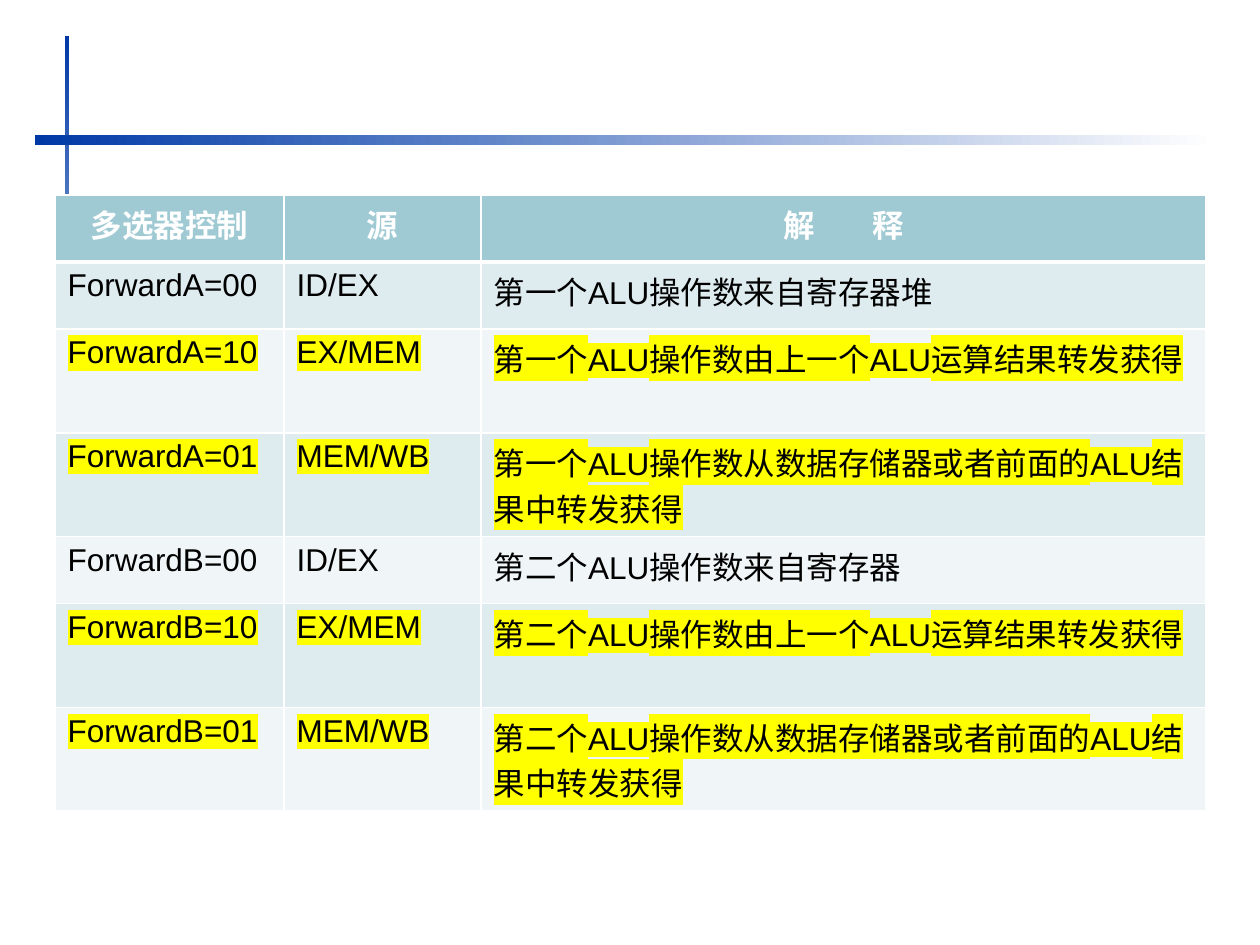
from dataclasses import dataclass

from lxml import etree
from pptx import Presentation
from pptx.dml.color import RGBColor
from pptx.enum.shapes import MSO_SHAPE
from pptx.enum.text import PP_ALIGN
from pptx.oxml.ns import qn
from pptx.util import Emu, Pt

RECTANGLE = MSO_SHAPE.RECTANGLE
CENTER = PP_ALIGN.CENTER
LEFT = PP_ALIGN.LEFT
PX = 914400 / 126


@dataclass(frozen=True)
class Theme:
    font: str = "Arial"
    size: int = 18
    blue: str = "0039A6"
    white: str = "FFFFFF"
    black: str = "000000"
    header: str = "9FCAD3"
    bands: tuple = ("F0F6F7", "DFECEF")
    highlight: str = "FFFF00"


theme = Theme()


def px(value):
    return Emu(round(value * PX))


def write(paragraph, text, color=theme.black, bold=False, highlight=None, spacing=None):
    run = paragraph.add_run()
    run.text = text
    run.font.size = Pt(theme.size)
    run.font.bold = bold
    run.font.color.rgb = RGBColor.from_string(color)
    if highlight:
        mark = etree.SubElement(run.font._element, qn("a:highlight"))
        etree.SubElement(mark, qn("a:srgbClr"), val=highlight)
    if spacing:
        run.font._element.set("spc", str(spacing))
    run.font.name = theme.font


presentation = Presentation()
presentation.slide_width = px(1260)
presentation.slide_height = px(945)
slide = presentation.slides.add_slide(presentation.slide_layouts[6])

for left, top, width, height, angle in [(65, 36, 4, 525, 270), (35, 135, 1180, 10, 0)]:
    bar = slide.shapes.add_shape(RECTANGLE, px(left), px(top), px(width), px(height))
    bar.shadow.inherit = False
    bar.line.fill.background()
    bar.fill.gradient()
    bar.fill.gradient_angle = angle
    for stop, color, position in zip(bar.fill.gradient_stops, (theme.blue, theme.white), (0, 1)):
        stop.color.rgb = RGBColor.from_string(color)
        stop.position = position

rows = [("多选器控制", "源", "解 释")]
for selector, ordinal, end in [("A", "一", "寄存器堆"), ("B", "二", "寄存器")]:
    operand = f"第{ordinal}个ALU操作数"
    rows += [
        (f"Forward{selector}=00", "ID/EX", f"{operand}来自{end}"),
        (f"Forward{selector}=10", "EX/MEM", f"{operand}由上一个ALU运算结果转发获得"),
        (f"Forward{selector}=01", "MEM/WB", f"{operand}从数据存储器或者前面的ALU结果中转发获得"),
    ]
column_widths = [229, 197, 725]
row_heights = [67] + [67, 67, 88] * 2

table = slide.shapes.add_table(
    len(rows), len(column_widths), px(55), px(195), px(sum(column_widths)), px(sum(row_heights))
).table
for column, width in zip(table.columns, column_widths):
    column.width = px(width)

for row_index, (texts, height) in enumerate(zip(rows, row_heights)):
    table.rows[row_index].height = px(height)
    is_header = row_index == 0
    forwarded = not is_header and texts[1] != "ID/EX"
    for column_index, text in enumerate(texts):
        cell = table.cell(row_index, column_index)
        properties = cell._tc.get_or_add_tcPr()
        for side in ("lnL", "lnR", "lnT", "lnB"):
            thick = (row_index, side) in ((0, "lnB"), (1, "lnT"))
            border = etree.SubElement(properties, qn(f"a:{side}"), w=str(Pt(3 if thick else 1)))
            border_fill = etree.SubElement(border, qn("a:solidFill"))
            etree.SubElement(border_fill, qn("a:srgbClr"), val=theme.white)
        cell.fill.solid()
        fill_color = theme.header if is_header else theme.bands[row_index % 2]
        cell.fill.fore_color.rgb = RGBColor.from_string(fill_color)

        paragraph = cell.text_frame.paragraphs[0]
        paragraph.alignment = CENTER if is_header else LEFT
        if is_header and " " in text:
            first, last = text.split()
            write(paragraph, f"{first} ", theme.white, True, spacing=1450)
            write(paragraph, last, theme.white, True)
        elif is_header:
            write(paragraph, text, theme.white, True)
        else:
            write(paragraph, text, highlight=theme.highlight if forwarded else None)

presentation.save("out.pptx")
